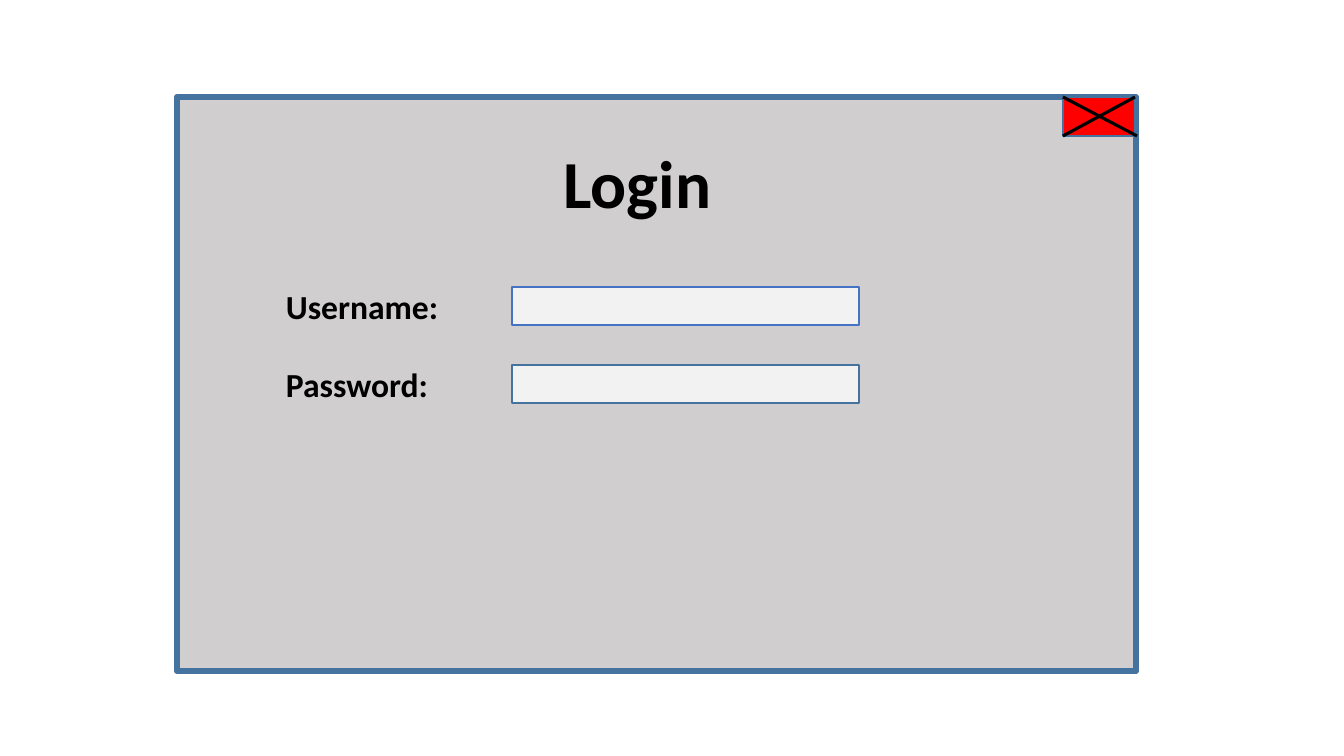
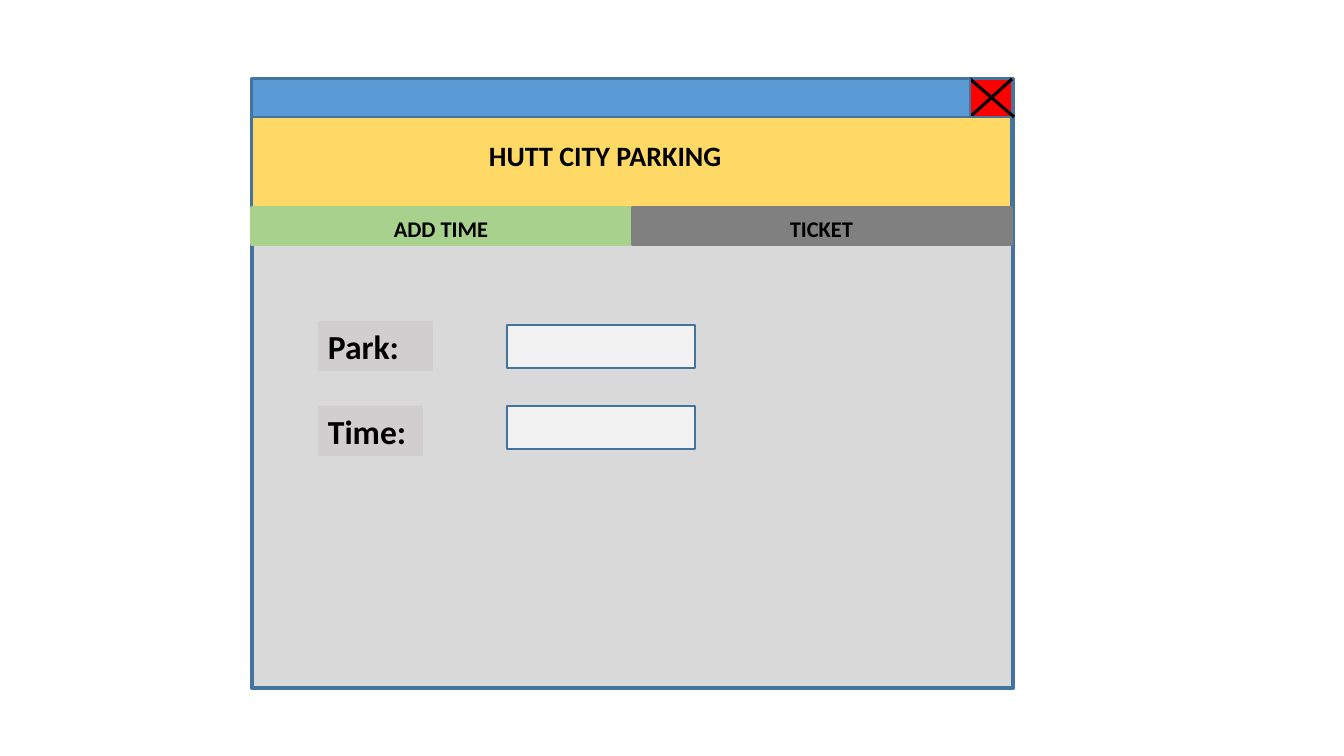
from dataclasses import dataclass
from typing import Optional, Union

from lxml.etree import SubElement
from pptx import Presentation
from pptx.dml.color import RGBColor
from pptx.enum.shapes import MSO_CONNECTOR, MSO_SHAPE
from pptx.enum.text import MSO_ANCHOR, PP_ALIGN
from pptx.oxml.ns import qn
from pptx.shapes.base import BaseShape
from pptx.shapes.shapetree import GroupShapes, SlideShapes
from pptx.util import Emu, Pt

Shapes = Union[SlideShapes, GroupShapes]

# Shared style
EMU_PER_PIXEL = 914400 / 100.8
FONT = "Calibri"
COLORS = {
    "black": "000000",
    "outline": "43739E",
    "field_blue": "4472C4",
    "login_panel": "D0CECE",
    "parking_panel": "D9D9D9",
    "field": "F2F2F2",
    "close": "FF0000",
    "title_bar": "5B9BD5",
    "banner": "FFD966",
    "active_tab": "A9D18E",
    "inactive_tab": "808080",
}


@dataclass(frozen=True)
class Area:
    left: int
    top: int
    width: int
    height: int


@dataclass(frozen=True)
class Box:
    area: Area
    fill: str
    line: Optional[str] = None
    line_width: float = 1


@dataclass(frozen=True)
class Caption:
    text: str
    area: Area
    size: int
    fill: Optional[str] = None
    alignment: PP_ALIGN = PP_ALIGN.LEFT


@dataclass(frozen=True)
class FormRow:
    label: str
    label_area: Area
    field_area: Area
    field_line: str = "outline"


def pixels(value: int) -> Emu:
    return Emu(round(value * EMU_PER_PIXEL))


def color(name: str) -> RGBColor:
    return RGBColor.from_string(COLORS[name])


def draw_box(shapes: Shapes, box: Box) -> BaseShape:
    area = box.area
    shape = shapes.add_shape(
        MSO_SHAPE.RECTANGLE,
        pixels(area.left), pixels(area.top), pixels(area.width), pixels(area.height),
    )
    shape.shadow.inherit = False
    shape.fill.solid()
    shape.fill.fore_color.rgb = color(box.fill)
    if box.line:
        shape.line.color.rgb = color(box.line)
        shape.line.width = Pt(box.line_width)
    else:
        shape.line.fill.background()
    return shape


def draw_caption(shapes: Shapes, caption: Caption) -> None:
    area = caption.area
    if caption.fill:
        shape = draw_box(shapes, Box(area, caption.fill))
    else:
        shape = shapes.add_textbox(
            pixels(area.left), pixels(area.top), pixels(area.width), pixels(area.height)
        )
    frame = shape.text_frame
    frame.word_wrap = True
    frame.vertical_anchor = MSO_ANCHOR.TOP
    paragraph = frame.paragraphs[0]
    paragraph.text = caption.text
    paragraph.alignment = caption.alignment
    paragraph.font.name = FONT
    paragraph.font.size = Pt(caption.size)
    paragraph.font.bold = True
    paragraph.font.color.rgb = color("black")


def draw_stroke(shapes: Shapes, start: tuple[int, int], end: tuple[int, int]) -> None:
    connector = shapes.add_connector(
        MSO_CONNECTOR.STRAIGHT, *(pixels(value) for value in start + end)
    )
    connector.line.color.rgb = color("black")
    connector.line.width = Pt(2.25)
    SubElement(connector._element.spPr, qn("a:effectLst"))


def draw_close_button(shapes: Shapes, area: Area) -> None:
    draw_box(shapes, Box(area, "close", "outline"))
    right, bottom = area.left + area.width, area.top + area.height
    draw_stroke(shapes, (area.left, area.top), (right + 2, bottom))
    draw_stroke(shapes, (area.left, bottom), (right, area.top))


def draw_form(shapes: Shapes, rows: list[FormRow]) -> None:
    for row in rows:
        draw_caption(shapes, Caption(row.label, row.label_area, 24, "login_panel"))
        draw_box(shapes, Box(row.field_area, "field", row.field_line))


presentation = Presentation()
presentation.slide_width = pixels(1344)
presentation.slide_height = pixels(756)
blank_layout = presentation.slide_layouts[6]

# Login window
slide = presentation.slides.add_slide(blank_layout)
window = slide.shapes.add_group_shape().shapes
draw_box(window, Box(Area(177, 97, 959, 574), "login_panel", "outline", 4.5))
draw_caption(
    window,
    Caption("Login", Area(439, 136, 397, 92), 48, "login_panel", PP_ALIGN.CENTER),
)
ROW_PITCH = 78
login_fields = [("Username:", "field_blue"), ("Password:", "outline")]
draw_form(window, [
    FormRow(
        label,
        Area(276, 281 + index * ROW_PITCH, 177, 50),
        Area(512, 287 + index * ROW_PITCH, 347, 38),
        line,
    )
    for index, (label, line) in enumerate(login_fields)
])
draw_close_button(slide.shapes.add_group_shape().shapes, Area(1063, 97, 72, 39))

# Parking window
slide = presentation.slides.add_slide(blank_layout)
window = slide.shapes.add_group_shape().shapes
draw_box(window, Box(Area(252, 79, 761, 609), "parking_panel", "outline", 3))
draw_close_button(window, Area(970, 79, 42, 38))
draw_form(window, [
    FormRow("Park:", Area(318, 321, 115, 50), Area(507, 325, 188, 43)),
    FormRow("Time:", Area(318, 406, 105, 50), Area(507, 406, 188, 43)),
])
draw_box(window, Box(Area(252, 79, 718, 39), "title_bar", "outline"))
draw_box(window, Box(Area(252, 117, 759, 90), "banner", "outline"))
draw_caption(slide.shapes, Caption("HUTT CITY PARKING", Area(479, 134, 263, 44), 20))

# Tabs
tabs = [
    (Box(Area(252, 208, 380, 36), "active_tab", "active_tab", 3),
     Caption("ADD TIME", Area(384, 210, 115, 37), 16)),
    (Box(Area(633, 208, 378, 36), "inactive_tab", "inactive_tab", 3),
     Caption("TICKET", Area(780, 210, 88, 37), 16)),
]
for tab, caption in tabs:
    draw_box(slide.shapes, tab)
    draw_caption(slide.shapes, caption)

presentation.save("out.pptx")
